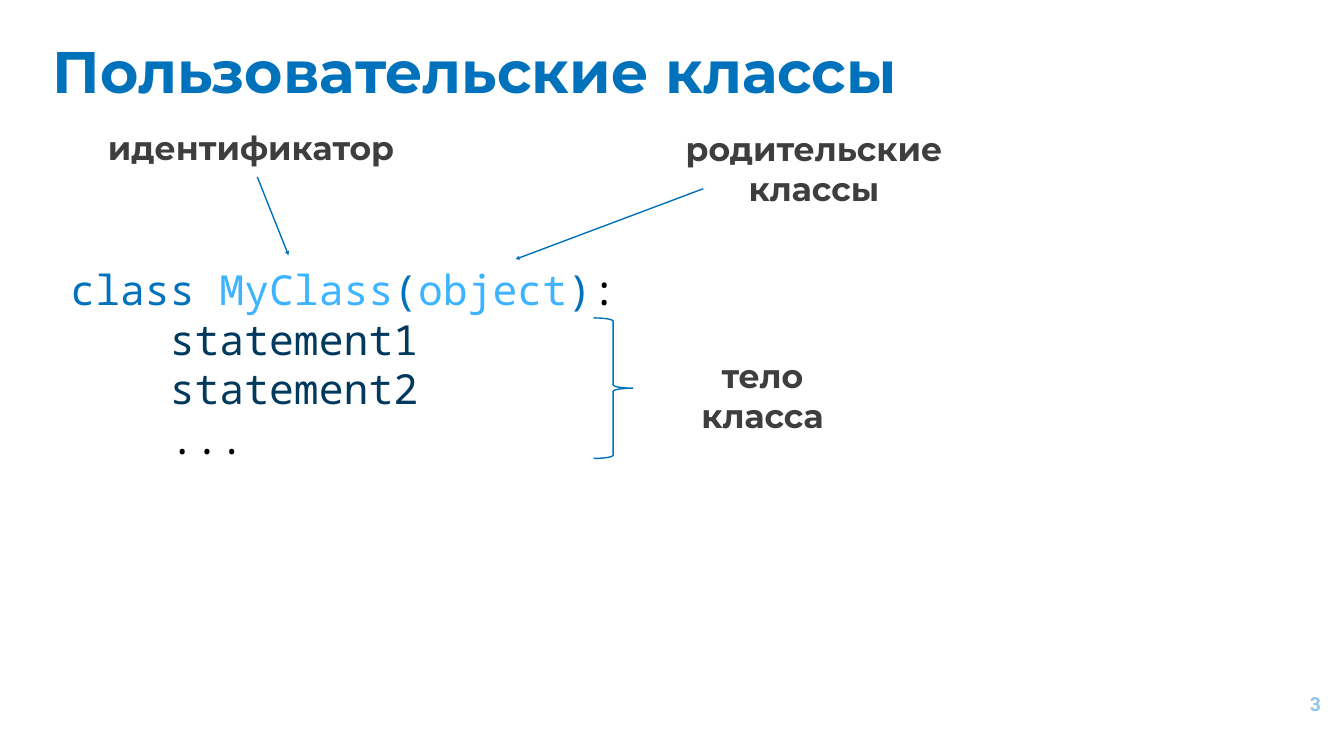
from lxml.etree import SubElement
from pptx import Presentation
from pptx.dml.color import RGBColor
from pptx.enum.shapes import MSO_CONNECTOR, MSO_SHAPE
from pptx.enum.text import MSO_ANCHOR, PP_ALIGN
from pptx.oxml.ns import qn
from pptx.util import Inches, Pt

COLORS = {
    "blue": "0072BC", "sky": "3EB3FF", "navy": "00395E",
    "black": "000000", "gray": "3E3E3E", "pale": "92C5EB",
}
TITLE = {"name": "Montserrat", "size": Pt(85), "bold": True}
LABEL = {"name": "Montserrat", "size": Pt(48), "bold": True}
CODE = {"name": "Noto Sans Mono", "size": Pt(60)}
PAGE = {"name": "Roboto", "size": Pt(28), "bold": True}

# Each code line is a list of (text, color) pieces
LINES = [
    [("class ", "blue"), ("MyClass", "sky"), ("(", "blue"),
     ("object", "sky"), (")", "blue"), (":", "black")],
    [("    ", "black"), ("statement1", "navy")],
    [("    ", "black"), ("statement2", "navy")],
    [("    ...", "black")],
]
# Label lines and their places, in percent of the region
LABELS = [
    (["идентификатор"], (6.06, 16.8, 25.24, 6.07)),
    (["родительские классы"], (45.64, 16.93, 29.86, 11.47)),
    (["тело", "класса"], (48.82, 47.4, 15.82, 11.47)),
]
# Arrow starts and ends, in percent of the region
ARROWS = [
    ((19.14, 23.73), (21.47, 34.27)),
    ((52.33, 25.33), (38.36, 34.8)),
]


def rgb(name):
    return RGBColor.from_string(COLORS[name])


def point(box, x, y):
    left, top, width, height = box
    return int(left + width * x / 100), int(top + height * y / 100)


def part(box, x, y, w, h):
    return *point(box, x, y), int(box[2] * w / 100), int(box[3] * h / 100)


def add_text(slide, box, lines, style, frame=None, para=None):
    text = slide.shapes.add_textbox(*box).text_frame
    text.word_wrap = True
    for key, value in (frame or {}).items():
        setattr(text, key, value)
    for i, line in enumerate(lines):
        row = text.add_paragraph() if i else text.paragraphs[0]
        for key, value in (para or {}).items():
            setattr(row, key, value)
        for words, color in line:
            run = row.add_run()
            run.text = words
            for key, value in style.items():
                setattr(run.font, key, value)
            run.font.color.rgb = rgb(color)


def set_line(shape):
    shape.line.color.rgb = rgb("blue")
    shape.line.width = Pt(2)


def add_arrow(slide, start, end):
    arrow = slide.shapes.add_connector(MSO_CONNECTOR.STRAIGHT, *start, *end)
    set_line(arrow)
    SubElement(arrow.line._get_or_add_ln(), qn("a:tailEnd"), type="triangle")
    SubElement(arrow._element.spPr, qn("a:effectLst"))


def add_frame(slide, box):
    inset = dict.fromkeys(
        ["margin_left", "margin_right", "margin_top", "margin_bottom"],
        Inches(0.1))
    # Title
    add_text(slide, part(box, 3.55, 4.07, 88.43, 12.8),
             [[("Пользовательские классы", "blue")]], TITLE, inset)
    # Page number
    add_text(slide, part(box, 92.65, 90.67, 5.99, 7.67), [[("3", "pale")]],
             PAGE, {**inset, "vertical_anchor": MSO_ANCHOR.MIDDLE},
             {"alignment": PP_ALIGN.RIGHT})


def add_diagram(slide, box):
    # Code
    add_text(slide, part(box, 4.88, 34.8, 69.84, 31), LINES, CODE,
             {"margin_top": Inches(0.1)}, {"line_spacing": Pt(72)})
    # Labels
    for lines, place in LABELS:
        add_text(slide, part(box, *place), [[(line, "gray")] for line in lines],
                 LABEL, para={"alignment": PP_ALIGN.CENTER})
    # Brace around the class body
    brace = slide.shapes.add_shape(
        MSO_SHAPE.RIGHT_BRACE, *part(box, 44.16, 42.67, 2.92, 18.87))
    brace.shadow.inherit = False
    brace.fill.background()
    set_line(brace)
    # Arrows
    for start, end in ARROWS:
        add_arrow(slide, point(box, *start), point(box, *end))


def main():
    deck = Presentation()
    deck.slide_width, deck.slide_height = Inches(27.06), Inches(15)
    slide = deck.slides.add_slide(deck.slide_layouts[6])
    box = (0, 0, deck.slide_width, deck.slide_height)
    add_frame(slide, box)
    add_diagram(slide, box)
    deck.save("out.pptx")


if __name__ == "__main__":
    main()
